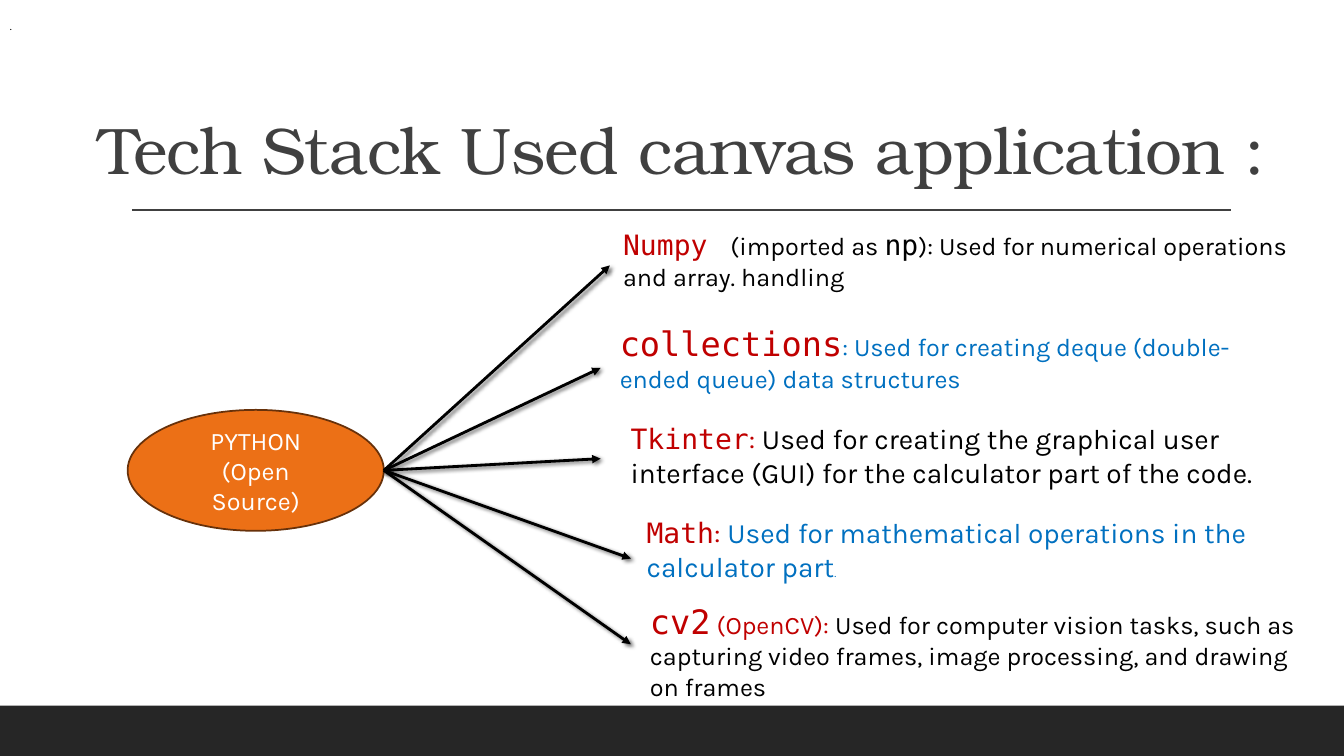
from lxml import etree
from pptx import Presentation, util as u
from pptx.dml.color import RGBColor
from pptx.enum import shapes, text
from pptx.oxml.ns import qn

# Grid of square cells: 16 columns by 9 rows
COLS, ROWS = 16, 9
CELL = u.Inches(7.5) / ROWS
SANS, MONO, SERIF = "Karla", "DejaVu Sans Mono", "TeX Gyre Bonum"
RED, BLUE, BLACK = "C00000", "0070C0", "000000"


def grid(*cells):
    return [round(c * CELL) for c in cells]


def paint(color, code):
    color.rgb = RGBColor.from_string(code)


def add_run(par, words, font, size, code):
    run = par.add_run()
    run.text = words
    run.font.name = font
    run.font.size = u.Pt(size)
    paint(run.font.color, code)
    return run


def add_text(slide, box, runs, anchor="TOP", wrap=True):
    frame = slide.shapes.add_textbox(*grid(*box)).text_frame
    frame.word_wrap = wrap
    frame.vertical_anchor = text.MSO_ANCHOR[anchor]
    par = frame.paragraphs[0]
    for words, font, size, code in runs:
        add_run(par, words, font, size, code)
    return par


def add_shape(slide, kind, box, fill, edge=None):
    shape = slide.shapes.add_shape(shapes.MSO_SHAPE[kind], *grid(*box))
    shape.shadow.inherit = False
    shape.fill.solid()
    paint(shape.fill.fore_color, fill)
    if edge:
        paint(shape.line.color, edge)
        shape.line.width = u.Pt(1.25)
    else:
        shape.line.fill.background()
    return shape


def add_line(slide, start, end, code, width):
    line = slide.shapes.add_connector(
        shapes.MSO_CONNECTOR.STRAIGHT, *grid(*start, *end))
    paint(line.line.color, code)
    line.line.width = u.Pt(width)
    effects = etree.SubElement(line._element.spPr, qn("a:effectLst"))
    return line, effects


def add_arrow(slide, start, end):
    line, effects = add_line(slide, start, end, BLACK, 2)
    etree.SubElement(line.line._get_or_add_ln(), qn("a:tailEnd"),
                     type="triangle")
    shade = etree.SubElement(
        effects, qn("a:outerShdw"), blurRad=str(u.Pt(3)),
        dist=str(u.Pt(2)), dir=str(45 * 60000), rotWithShape="0")
    tint = etree.SubElement(shade, qn("a:srgbClr"), val=BLACK)
    etree.SubElement(tint, qn("a:alpha"), val="60000")


def add_frame(slide, box):
    """Footer bar, title rule and the small dot in the corner."""
    x, y, w, h = box
    add_shape(slide, "RECTANGLE", (x, y + h - 0.6, w, 0.6), "262626")
    add_line(slide, (x + 1.57, y + 2.5), (x + w - 1.35, y + 2.5),
             "404040", 1)
    add_text(slide, (x, y + 0.16, 0.31, 0.29),
             [(".", SANS, 8, BLACK)], "MIDDLE", False)


def add_title(slide, box):
    words = "Tech Stack Used canvas application :"
    par = add_text(slide, box, [(words, SERIF, 47, "404040")], "BOTTOM")
    par.line_spacing = 0.9
    par.runs[0].font._element.set("spc", "-50")


def add_hub(slide, box):
    """Ellipse; gives back the point where the arrows start."""
    x, y, w, h = box
    frame = add_shape(slide, "OVAL", box, "EC7016", "67310A").text_frame
    frame.word_wrap = True
    frame.vertical_anchor = text.MSO_ANCHOR.MIDDLE
    par = frame.paragraphs[0]
    par.alignment = text.PP_ALIGN.CENTER
    add_run(par, "PYTHON", SANS, 18, "FFFFFF")
    par.add_line_break()
    add_run(par, "(Open Source)", SANS, 18, "FFFFFF")
    return x + w, y + h / 2


# Each library: text box, arrow tip, anchor, runs; offsets from the region
LIBS = [
    ((0.15, 0, 8.41, 1.25), (0.11, 0.51), "TOP", [
        ("Numpy ", MONO, 20, RED),
        (" (imported as ", SANS, 18, BLACK),
        ("np", MONO, 20, BLACK),
        ("): Used for numerical operations and array. handling",
         SANS, 18, BLACK)]),
    ((0.11, 1.13, 7.84, 0.97), (0, 1.73), "TOP", [
        ("collections", MONO, 24, RED),
        (": Used for creating deque (double-ended queue) data structures",
         SANS, 18, BLUE)]),
    ((0.24, 2.31, 8.23, 0.92), (0, 2.81), "MIDDLE", [
        ("Tkinter", MONO, 20, RED),
        (": ", SANS, 20, RED),
        ("Used for creating the graphical user interface (GUI) for the "
         "calculator part of the code.", SANS, 20, BLACK)]),
    ((0.43, 3.43, 8.27, 0.92), (0.36, 4), "MIDDLE", [
        ("Math", MONO, 20, RED),
        (": ", SANS, 20, RED),
        ("Used for mathematical operations in the calculator part",
         SANS, 20, BLUE),
        (".", SANS, 8, BLUE)]),
    ((0.47, 4.44, 8.23, 1.34), (0.36, 5.02), "TOP", [
        ("cv2", MONO, 24, RED),
        (" (OpenCV): ", SANS, 18, RED),
        ("Used for computer vision tasks, such as capturing video frames, "
         "image processing, and drawing on frames", SANS, 18, BLACK)]),
]


def add_libs(slide, box, hub):
    left, top = box[:2]
    for (x, y, w, h), tip, anchor, runs in LIBS:
        add_arrow(slide, hub, (left + tip[0], top + tip[1]))
        add_text(slide, (left + x, top + y, w, h), runs, anchor)


def main():
    deck = Presentation()
    deck.slide_width, deck.slide_height = grid(COLS, ROWS)
    slide = deck.slides.add_slide(deck.slide_layouts[6])
    add_frame(slide, (0, 0, COLS, ROWS))
    add_title(slide, (1.06, 0.4, 14.64, 1.9))
    hub = add_hub(slide, (1.52, 4.88, 3.05, 1.44))
    add_libs(slide, (7.15, 2.65, 8.7, 5.78), hub)
    deck.save("out.pptx")


if __name__ == "__main__":
    main()
